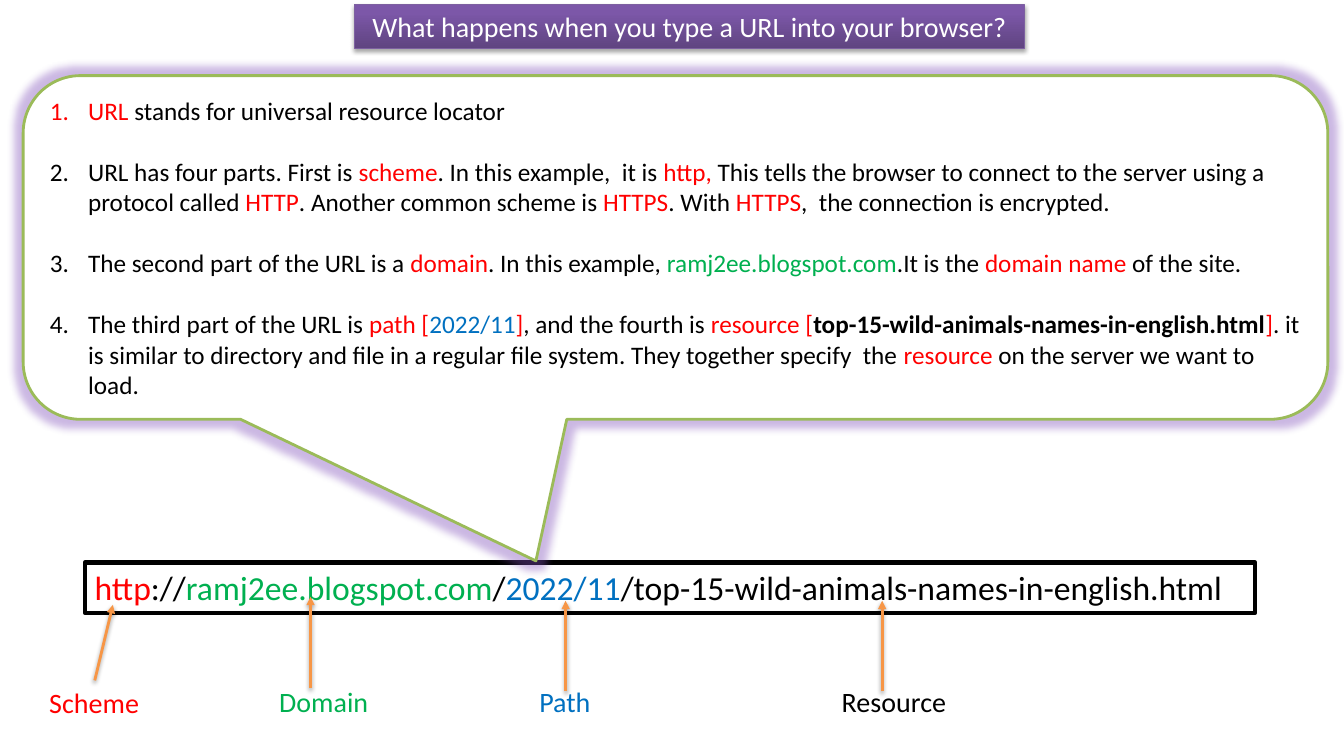
from lxml import etree
from pptx import Presentation
from pptx import util as u
from pptx.dml.color import RGBColor
from pptx.enum import shapes, text
from pptx.oxml import parse_xml
from pptx.oxml.ns import nsdecls, qn

BLACK, WHITE = RGBColor(0, 0, 0), RGBColor(255, 255, 255)
RED, GREEN, BLUE = RGBColor(255, 0, 0), RGBColor(0, 176, 80), RGBColor(0, 112, 192)
PURPLE_DARK, PURPLE = RGBColor(0x5F, 0x44, 0x80), RGBColor(0x7C, 0x57, 0xA8)
PURPLE_LINE, LIME = RGBColor(0x7D, 0x60, 0xA0), RGBColor(0x9B, 0xBB, 0x59)
ORANGE = RGBColor(0xF7, 0x96, 0x46)

TITLE = "What happens when you type a URL into your browser?"
DOMAIN, PATH = "ramj2ee.blogspot.com", "2022/11"
RESOURCE = "top-15-wild-animals-names-in-english.html"

# Each run is plain text (black) or (text, colour[, bold])
URL = [("http", RED), "://", (DOMAIN, GREEN), "/", (PATH, BLUE), "/" + RESOURCE]
NOTES = [
    [("URL", RED), " stands for universal resource locator"],
    ["URL has four parts. First is ", ("scheme", RED), ". In this example,  it is ",
     ("http, ", RED),
     "This tells the browser to connect to the server using a protocol called ",
     ("HTTP", RED), ". Another common scheme is ", ("HTTPS", RED), ". With ",
     ("HTTPS", RED), ",  the connection is encrypted."],
    ["The second part of the URL is a ", ("domain", RED), ". In this example, ",
     (DOMAIN, GREEN), ".It is the ", ("domain name", RED), " of the site."],
    ["The third part of the URL is ", ("path [", RED), (PATH, BLUE), ("]", RED),
     ", and the fourth is ", ("resource [", RED), (RESOURCE, BLACK, True), ("]", RED),
     ". it is similar to directory and file in a regular file system. "
     "They together specify  the ", ("resource", RED),
     " on the server we want to load."],
]
# label, colour, box (left, top, width), arrow start, arrow end
PARTS = [
    ("Scheme", RED, (0.39, 6.75, 1.1), (0.94, 6.75), (1.12, 6)),
    ("Domain", GREEN, (2.67, 6.74, 1.09), (3.08, 6.83), (3.08, 5.92)),
    ("Path", BLUE, (5.25, 6.74, 0.72), (5.61, 6.86), (5.61, 5.96)),
    ("Resource", BLACK, (8.25, 6.74, 1.25), (8.75, 6.86), (8.75, 5.96)),
]
LABEL_H = 0.44


def inches(*values):
    return [u.Inches(v) for v in values]


def add_runs(p, runs, size):
    for run in runs:
        words, color, bold = ((run, BLACK) if isinstance(run, str) else run) + (False,) \
            if isinstance(run, str) or len(run) == 2 else run
        r = p.add_run()
        r.text = words
        for name, value in dict(name="Calibri", size=u.Pt(size), bold=bold).items():
            setattr(r.font, name, value)
        r.font.color.rgb = color


def set_frame(sp, **formats):
    for name, value in formats.items():
        setattr(sp.text_frame, name, value)
    return sp.text_frame


def set_line(sp, color, width):
    sp.line.color.rgb = color
    sp.line.width = u.Pt(width)


def add_effect(sp, inner):
    props = sp._element.spPr
    for old in props.findall(qn("a:effectLst")):
        props.remove(old)
    props.append(parse_xml(f"<a:effectLst {nsdecls('a')}>{inner}</a:effectLst>"))


def shadow(dist, alpha):
    return (f'<a:outerShdw blurRad="40000" dist="{dist}" dir="5400000" rotWithShape="0">'
            f'<a:srgbClr val="000000"><a:alpha val="{alpha}000"/></a:srgbClr></a:outerShdw>')


def number(p):
    """Give the paragraph a hanging automatic number."""
    pr = p._p.get_or_add_pPr()
    pr.set("marL", str(u.Inches(0.38)))
    pr.set("indent", str(u.Inches(-0.38)))
    etree.SubElement(pr, qn("a:buFont"), typeface="+mj-lt")
    etree.SubElement(pr, qn("a:buAutoNum"), type="arabicPeriod")


def add_title(s):
    sp = s.shapes.title
    sp.left, sp.top, sp.width, sp.height = inches(3.52, 0.04, 6.64, 0.44)
    sp.fill.gradient()
    sp.fill.gradient_angle = 90
    for stop, color, position in zip(sp.fill.gradient_stops, (PURPLE_DARK, PURPLE), (0, 0.8)):
        stop.color.rgb = color
        stop.position = position
    set_line(sp, PURPLE_LINE, 0.75)
    add_effect(sp, shadow(23000, 35))
    tf = set_frame(sp, word_wrap=True, auto_size=text.MSO_AUTO_SIZE.NONE,
                   vertical_anchor=text.MSO_ANCHOR.MIDDLE)
    p = tf.paragraphs[0]
    p.alignment = text.PP_ALIGN.CENTER
    add_runs(p, [(TITLE, WHITE)], 20)


def add_url(s):
    sp = s.shapes.add_textbox(*inches(0.84, 5.58, 11.61, 0.5))
    sp.fill.solid()
    sp.fill.fore_color.rgb = WHITE
    set_line(sp, BLACK, 3)
    add_runs(set_frame(sp, word_wrap=True).paragraphs[0], URL, 24)


def add_callout(s):
    sp = s.shapes.add_shape(shapes.MSO_SHAPE.ROUNDED_RECTANGULAR_CALLOUT,
                            *inches(0.23, 0.75, 12.94, 3.41))
    for i, value in enumerate((-0.107, 0.912, 0.167)):
        sp.adjustments[i] = value
    sp.fill.solid()
    sp.fill.fore_color.rgb = WHITE
    set_line(sp, LIME, 2)
    add_effect(sp, '<a:glow rad="139700"><a:srgbClr val="8064A2"><a:satMod val="175000"/>'
                   '<a:alpha val="40000"/></a:srgbClr></a:glow>')
    tf = set_frame(sp, word_wrap=True, vertical_anchor=text.MSO_ANCHOR.MIDDLE)
    for i, note in enumerate(NOTES):
        p = tf.add_paragraph() if i else tf.paragraphs[0]
        number(p)
        p.alignment = text.PP_ALIGN.LEFT
        if i:
            p.space_before = u.Pt(22)
        add_runs(p, note, 18)


def add_labels(s):
    labels = []
    for label, color, box, _, _ in PARTS:
        sp = s.shapes.add_textbox(*inches(*box, LABEL_H))
        add_runs(set_frame(sp, word_wrap=False).paragraphs[0], [(label, color)], 20)
        labels.append(sp)
    return labels


def add_arrows(s, labels):
    for sp, (_, _, (left, top, width), start, end) in zip(labels, PARTS):
        arrow = s.shapes.add_connector(shapes.MSO_CONNECTOR.STRAIGHT, *inches(*start, *end))
        if start == (round(left + width / 2, 2), top):
            arrow.begin_connect(sp, 0)
        set_line(arrow, ORANGE, 2)
        etree.SubElement(arrow.line._get_or_add_ln(), qn("a:tailEnd"), type="triangle")
        add_effect(arrow, shadow(20000, 38))


def main():
    prs = Presentation()
    prs.slide_width, prs.slide_height = inches(13.33, 7.5)
    s = prs.slides.add_slide(prs.slide_layouts[5])
    add_title(s)
    add_url(s)
    add_callout(s)
    add_arrows(s, add_labels(s))
    prs.save("out.pptx")


if __name__ == "__main__":
    main()
